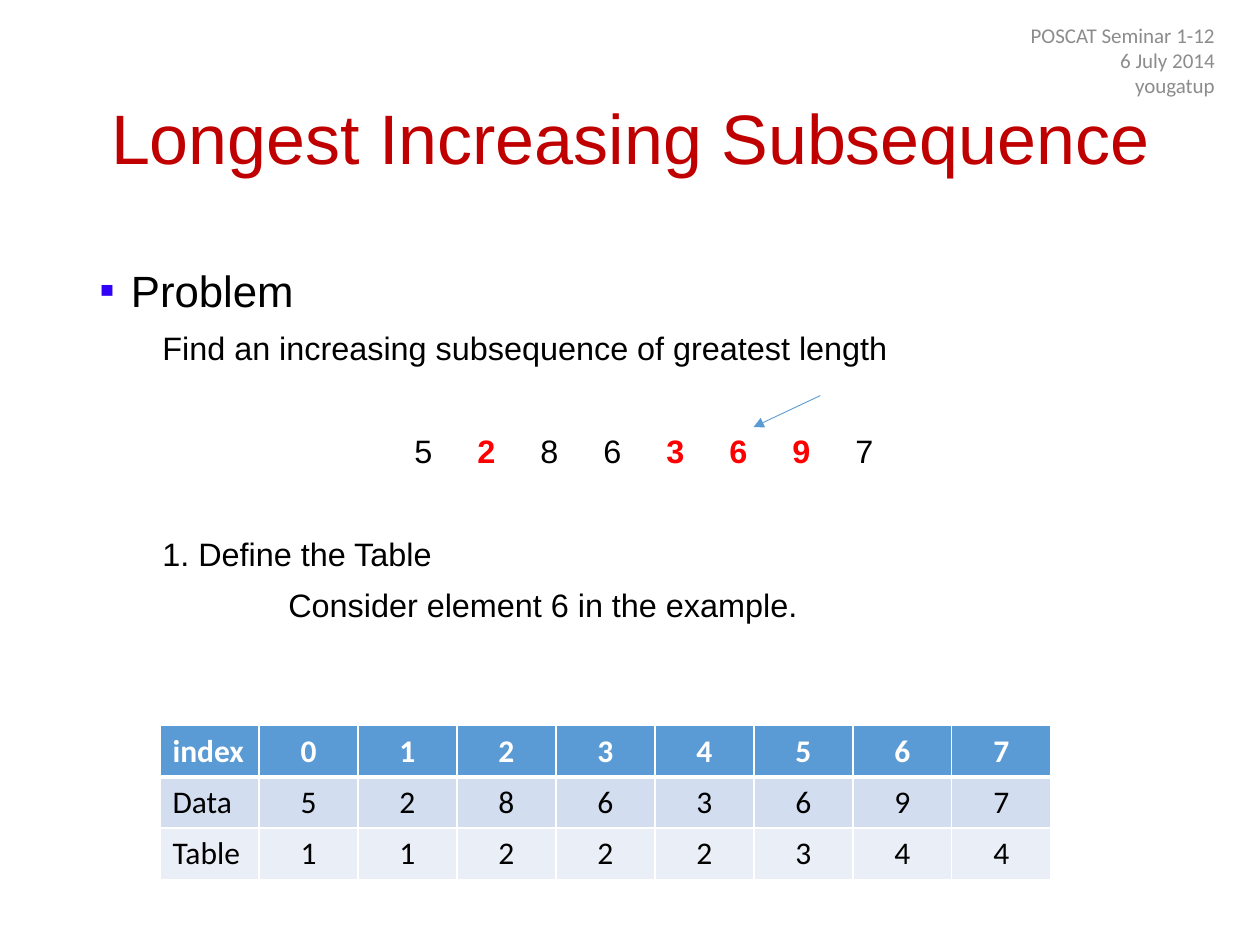
from lxml.etree import SubElement as Sub
from pptx import Presentation
from pptx.dml.color import RGBColor
from pptx.enum.shapes import MSO_CONNECTOR as Conn
from pptx.enum.text import MSO_ANCHOR as Anchor, PP_ALIGN as Align
from pptx.oxml.ns import qn
from pptx.util import Inches, Pt

HUE = {"title": "C00000", "text": "000000", "mark": "FF0000", "dot": "3102F8",
       "note": "8C8C8C", "head": "5B9BD5", "dark": "D2DEEF", "light": "EAEFF7",
       "white": "FFFFFF"}
DATA = [5, 2, 8, 6, 3, 6, 9, 7]
BEST = {1, 4, 5, 6}
ROWS = [["index", *range(8)], ["Data", *DATA], ["Table", 1, 1, 2, 2, 2, 3, 4, 4]]


def style(font, size, hue, name="Arial", bold=False):
    """Set the look of a font."""
    font.size, font.name, font.bold = Pt(size), name, bold
    font.color.rgb = RGBColor.from_string(HUE[hue])


def add_box(slide, box, anchor=Anchor.TOP):
    """Add a wrapping text box and return its frame."""
    frame = slide.shapes.add_textbox(*map(Inches, box)).text_frame
    frame.word_wrap, frame.vertical_anchor = True, anchor
    return frame


def add_lines(slide, box, lines, align, size, hue, name, lead):
    """Add middle-anchored lines of one style."""
    frame = add_box(slide, box, Anchor.MIDDLE)
    for i, line in enumerate(lines):
        para = frame.add_paragraph() if i else frame.paragraphs[0]
        para.text, para.alignment, para.line_spacing = line, align, lead
        style(para.font, size, hue, name)


def indent(para, left, hang=0):
    """Set the left margin, first-line indent and tab step."""
    props = para._p.get_or_add_pPr()
    for key, size in (("marL", left), ("indent", hang), ("defTabSz", 0.5)):
        props.set(key, str(Inches(size)))
    return props


def add_dot(props):
    """Give a paragraph a square bullet."""
    Sub(Sub(props, qn("a:buClr")), qn("a:srgbClr"), val=HUE["dot"])
    Sub(props, qn("a:buFont"), typeface="Arial")
    Sub(props, qn("a:buChar"), char="▪")


def add_nums(para, size):
    """Add the tabbed numbers, marking the best subsequence."""
    for i, num in enumerate(DATA):
        run = para.add_run()
        run.text = f"\t{num}" if i else str(num)
        style(run.font, size, "mark" if i in BEST else "text", bold=i in BEST)


def add_body(slide, box):
    """Add the problem text with its number row."""
    frame = add_box(slide, box)
    parts = [("Problem", 0.25, 0, 25),
             ("Find an increasing subsequence of greatest length", 0.5, 5, 18.5),
             ("", 2.5, 34.2, 18.5),
             ("1. Define the Table", 0.5, 34.2, 18.5),
             ("Consider element 6 in the example.", 1.5, 5, 18.5)]
    for i, (text, left, gap, size) in enumerate(parts):
        para = frame.add_paragraph() if i else frame.paragraphs[0]
        props = indent(para, left, 0 if i else -left)
        para.line_spacing, para.space_before = 1.1, Pt(gap)
        if not i:
            add_dot(props)
        if text:
            para.text = text
            style(para.font, size, "text")
        else:
            add_nums(para, size)


def add_edges(cell, base):
    """Draw white borders round a cell."""
    props = cell._tc.get_or_add_tcPr()
    for i, (side, wide) in enumerate(zip("LRTB", (1, 1, 1, base))):
        edge = Sub(props, qn(f"a:ln{side}"), w=str(Pt(wide)))
        Sub(Sub(edge, qn("a:solidFill")), qn("a:srgbClr"), val=HUE["white"])
        props.insert(i, edge)


def add_grid(slide, box):
    """Add the table of lengths."""
    grid = slide.shapes.add_table(len(ROWS), len(ROWS[0]), *map(Inches, box)).table
    for r, (row, fill) in enumerate(zip(ROWS, ("head", "dark", "light"))):
        for c, value in enumerate(row):
            cell = grid.cell(r, c)
            cell.fill.solid()
            cell.fill.fore_color.rgb = RGBColor.from_string(HUE[fill])
            add_edges(cell, 1 if r else 3)
            para = cell.text_frame.paragraphs[0]
            para.text = str(value)
            para.alignment = Align.CENTER if c else Align.LEFT
            style(para.font, 18, "text" if r else "white", "Calibri", not r)


def add_arrow(slide, start, end):
    """Add a thin arrow."""
    line = slide.shapes.add_connector(Conn.STRAIGHT, *map(Inches, start + end))
    line.line.width = Pt(0.5)
    line.line.color.rgb = RGBColor.from_string(HUE["head"])
    Sub(line.line._get_or_add_ln(), qn("a:tailEnd"), type="triangle")
    Sub(line._element.spPr, qn("a:effectLst"))


def main():
    """Build and save the slide."""
    deck = Presentation()
    deck.slide_width, deck.slide_height = Inches(10), Inches(7.5)
    slide = deck.slides.add_slide(deck.slide_layouts[6])
    add_lines(slide, (0.69, 0.4, 8.62, 1.45), ["Longest Increasing Subsequence"],
              Align.CENTER, 40, "title", "Arial", 0.9)
    add_body(slide, (0.69, 2, 8.95, 4.76))
    add_lines(slide, (7.49, 0.2, 2.25, 0.55),
              ["POSCAT Seminar 1-12", "6 July 2014", "yougatup"],
              Align.RIGHT, 12, "note", "Calibri", 1.0)
    add_grid(slide, (1.27, 5.76, 7.07, 1.22))
    add_arrow(slide, (6.51, 3.14), (5.98, 3.39))
    deck.save("out.pptx")


if __name__ == "__main__":
    main()
